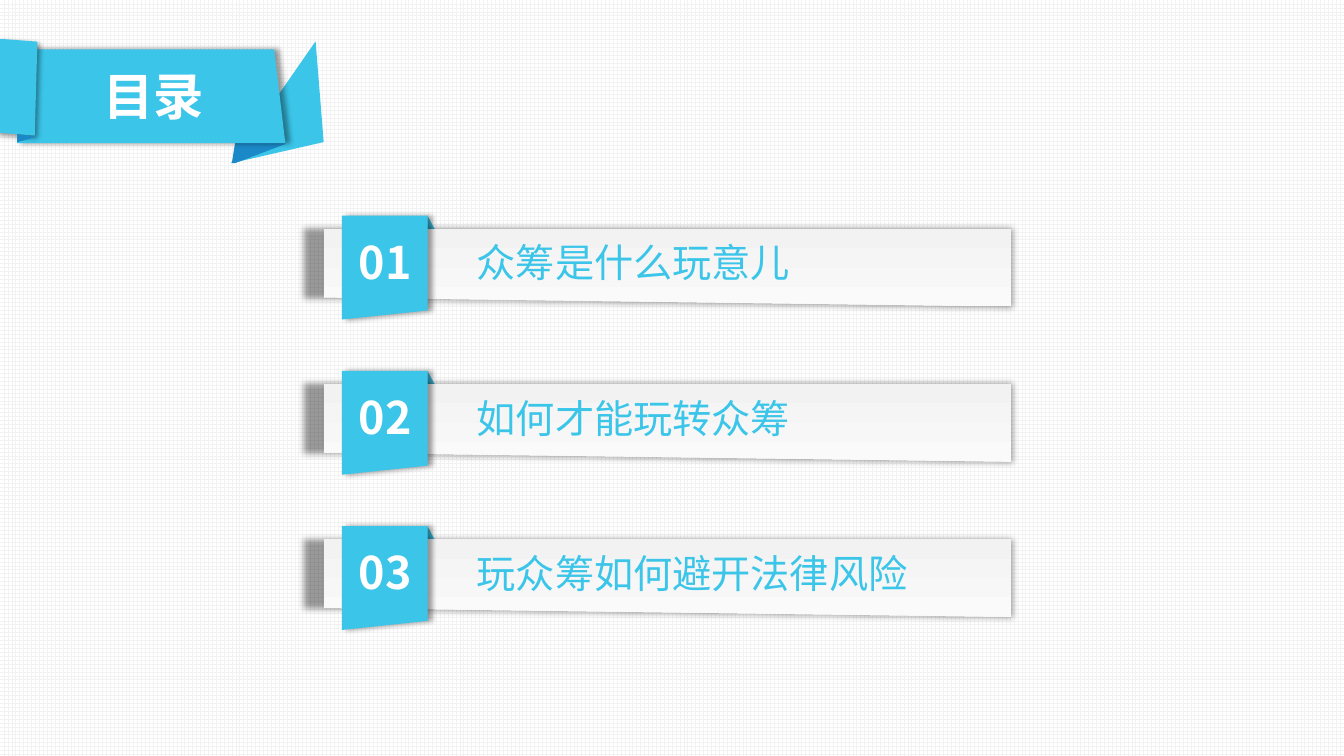
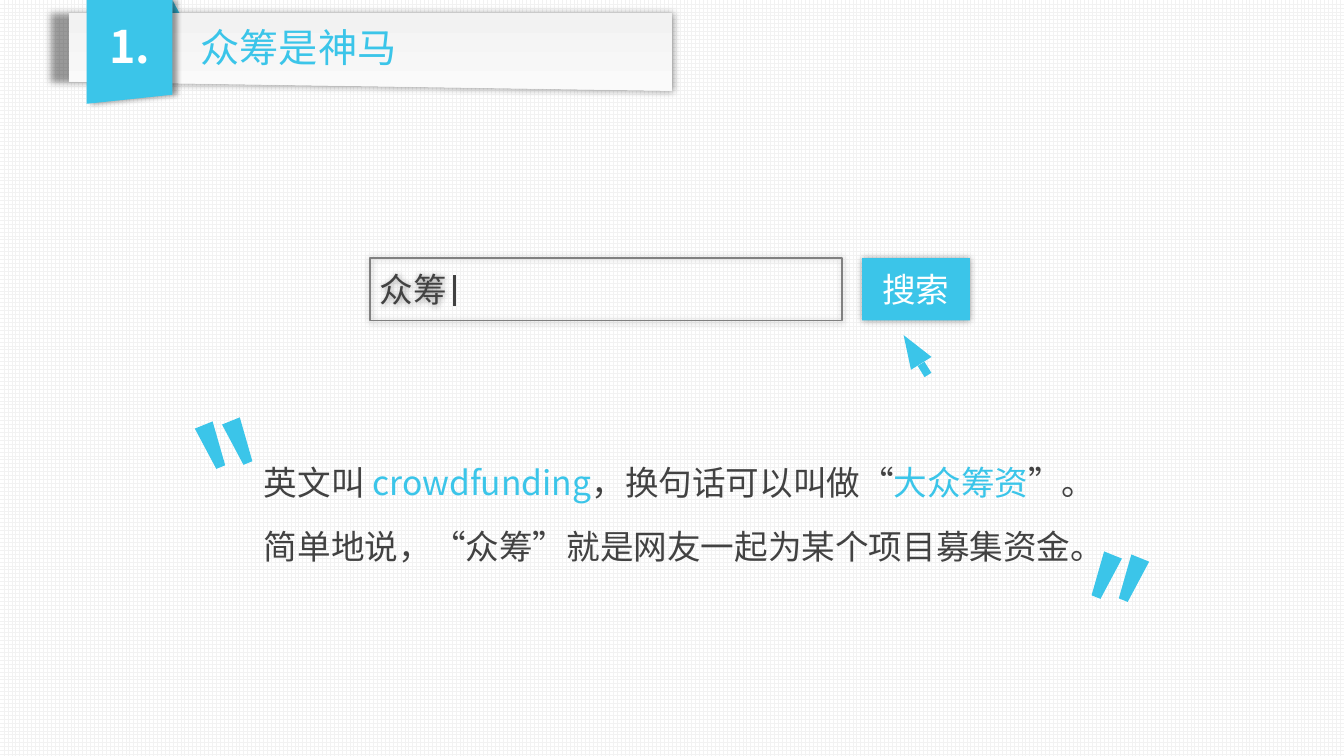
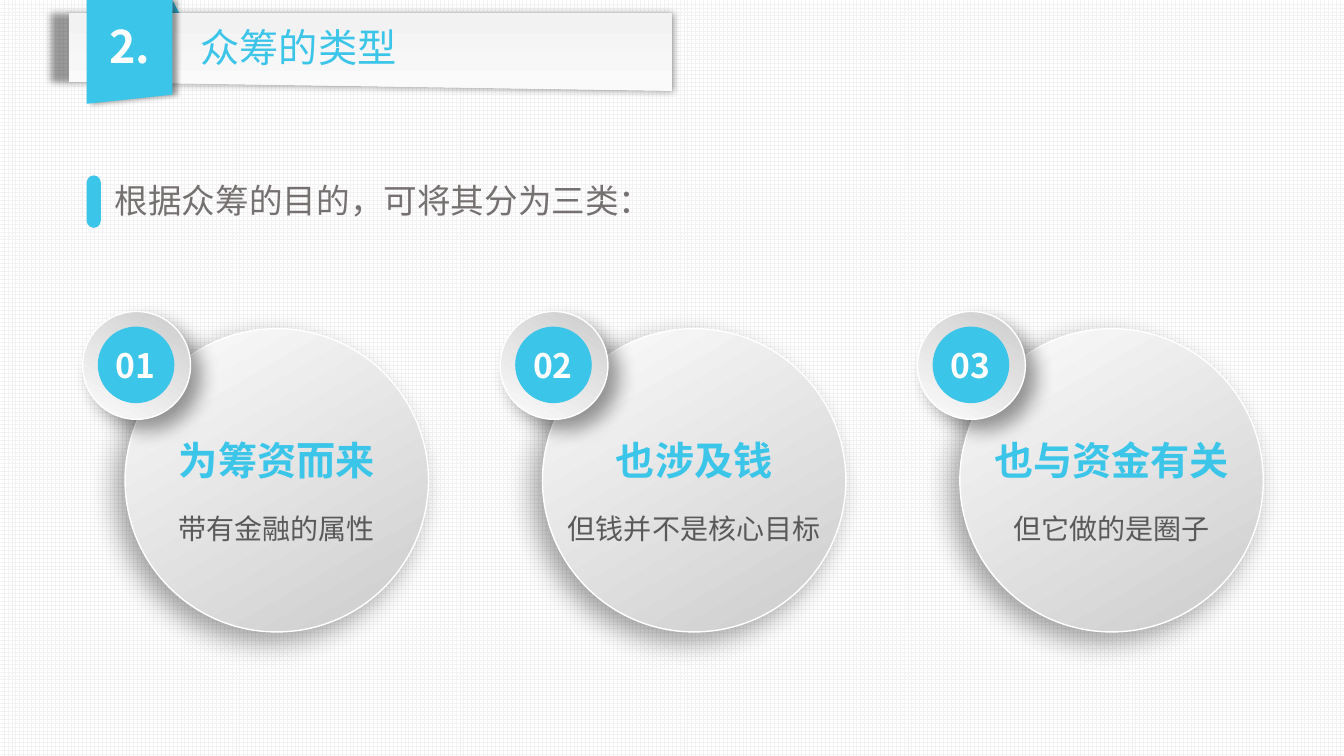
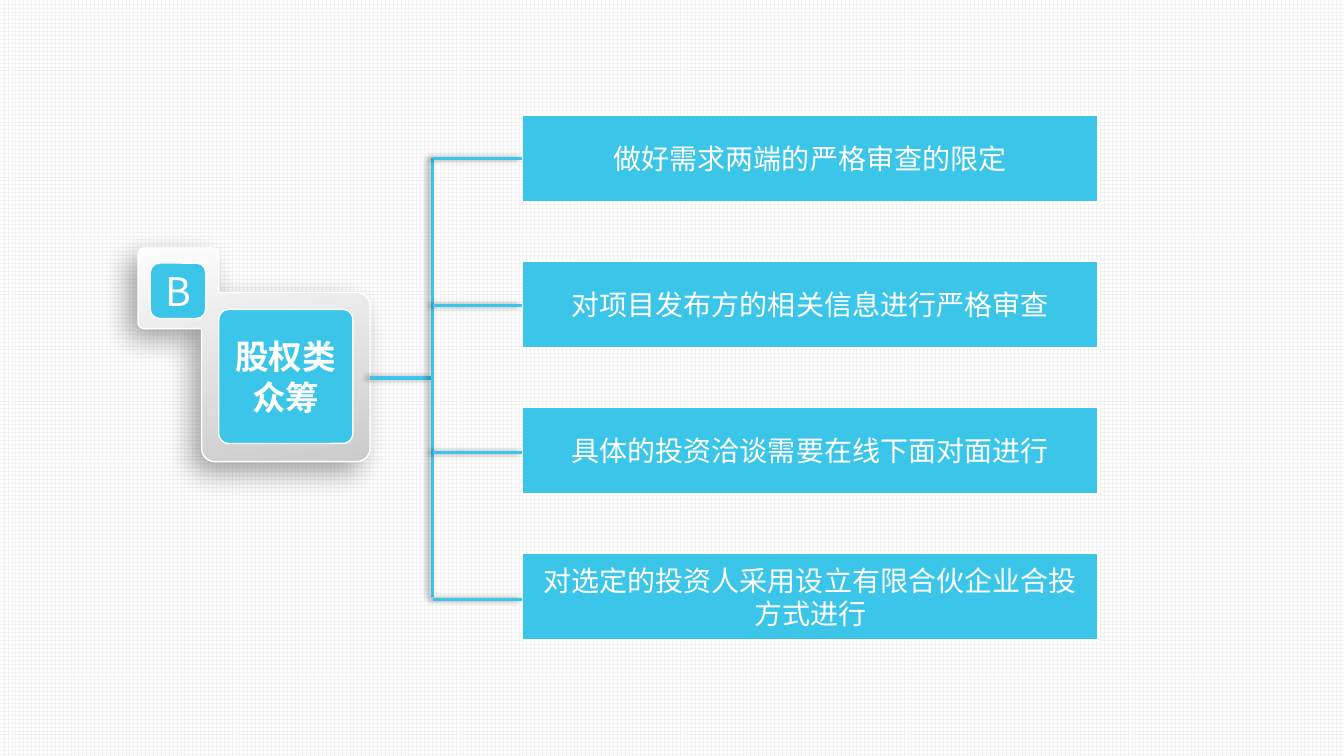
from math import cos, radians, sin

from lxml import etree
from pptx import Presentation
from pptx.dml.color import RGBColor
from pptx.enum.dml import MSO_PATTERN
from pptx.enum.shapes import MSO_CONNECTOR, MSO_SHAPE
from pptx.enum.text import MSO_ANCHOR, MSO_AUTO_SIZE, PP_ALIGN
from pptx.oxml.ns import qn
from pptx.util import Inches, Pt

# Shared look
FONT = "Noto Sans CJK SC"
BLUE = RGBColor(0x3B, 0xC5, 0xE9)
DEEP_BLUE = RGBColor(0x1B, 0x89, 0xC7)
WHITE = RGBColor(0xFF, 0xFF, 0xFF)
GRID = RGBColor(0xF2, 0xF2, 0xF2)
PAPER = RGBColor(0xFA, 0xFA, 0xFA)
SILVER = RGBColor(0xCC, 0xCC, 0xCC)
PEARL = RGBColor(0xFC, 0xFC, 0xFC)
FRAME = RGBColor(0x80, 0x80, 0x80)
INK = RGBColor(0x42, 0x42, 0x42)
NOTE_GRAY = RGBColor(0x59, 0x59, 0x59)
LEAD_GRAY = RGBColor(0x76, 0x71, 0x71)

CENTER, LEFT = PP_ALIGN.CENTER, PP_ALIGN.LEFT
MIDDLE, TOP = MSO_ANCHOR.MIDDLE, MSO_ANCHOR.TOP
FIT_SHAPE = MSO_AUTO_SIZE.SHAPE_TO_FIT_TEXT
RECT, OVAL, ROUNDED = MSO_SHAPE.RECTANGLE, MSO_SHAPE.OVAL, MSO_SHAPE.ROUNDED_RECTANGLE
FLAP, TRIANGLE = MSO_SHAPE.RIGHT_TRIANGLE, MSO_SHAPE.ISOSCELES_TRIANGLE
TRAPEZOID, PARALLELOGRAM = MSO_SHAPE.TRAPEZOID, MSO_SHAPE.PARALLELOGRAM
STRAIGHT = MSO_CONNECTOR.STRAIGHT
TITLE_ONLY, BLANK = 5, 6

# Shadows: opacity %, blur pt, distance pt, direction, width %
HALO = (40, 5, 0, 0, 100)
BAR_SHADOW = (40, 5, 0, 0, 103)
SIDE_SHADOW = (40, 4, 3, 0, 100)
FOLD_SHADOW = (40, 4, 3, 45, 100)
LINE_SHADOW = (40, 4, 3, 180, 100)
DISC_SHADOW = (34, 20, 10, 136, 100)
BADGE_SHADOW = (40, 14, 10, 45, 100)

# Content
AGENDA_TITLE = "目录"
AGENDA = ["众筹是什么玩意儿", "如何才能玩转众筹", "玩众筹如何避开法律风险"]
DEFINITION_TITLE = ("1.", "众筹是神马")
SEARCH_TERM, SEARCH_BUTTON = "众筹", "搜索"
DEFINITION = [
    [("英文叫 ", INK), ("crowdfunding", BLUE), ("，换句话可以叫做“", INK),
     ("大众筹资", BLUE), ("”。", INK)],
    [("简单地说，“众筹”就是网友一起为某个项目募集资金。", INK)],
]
TYPES_TITLE = ("2.", "众筹的类型")
TYPES_LEAD = "根据众筹的目的，可将其分为三类："
TYPES = [
    ("为筹资而来", "带有金融的属性"),
    ("也涉及钱", "但钱并不是核心目标"),
    ("也与资金有关", "但它做的是圈子"),
]
EQUITY_LETTER, EQUITY = "B", "股权类众筹"
EQUITY_RULES = [
    "做好需求两端的严格审查的限定",
    "对项目发布方的相关信息进行严格审查",
    "具体的投资洽谈需要在线下面对面进行",
    "对选定的投资人采用设立有限合伙企业合投方式进行",
]


# Drawing helpers
def add_shadow(item, shadow):
    properties = item.element.spPr
    for old in properties.findall(qn("a:effectLst")):
        properties.remove(old)
    effects = etree.SubElement(properties, qn("a:effectLst"))
    if shadow:
        opacity, blur, distance, direction, width = shadow
        outer = etree.SubElement(
            effects, qn("a:outerShdw"), blurRad=str(Pt(blur)), dist=str(Pt(distance)),
            dir=str(direction * 60000), sx=str(width * 1000),
            algn="r" if width != 100 else "ctr", rotWithShape="0")
        color = etree.SubElement(outer, qn("a:srgbClr"), val="000000")
        etree.SubElement(color, qn("a:alpha"), val=str(opacity * 1000))


def paint(shape, fill=None, line=None, shadow=None):
    """fill is a colour, or (first colour, last colour, clockwise angle)."""
    if fill is None:
        shape.fill.background()
    elif isinstance(fill, RGBColor):
        shape.fill.solid()
        shape.fill.fore_color.rgb = fill
    else:
        *colors, angle = fill
        shape.fill.gradient()
        shape.fill.gradient_angle = 360 - angle
        for stop, color, position in zip(shape.fill.gradient_stops, colors, (0, 1)):
            stop.color.rgb = color
            stop.position = position
    if line is None:
        shape.line.fill.background()
    else:
        shape.line.color.rgb = line
        shape.line.width = Pt(1)
    add_shadow(shape, shadow)
    return shape


def add_preset(slide, kind, box, fill=None, line=None, shadow=None, rotation=0, adjust=None):
    shape = slide.shapes.add_shape(kind, *map(Inches, box))
    shape.rotation = rotation
    if adjust is not None:
        shape.adjustments[0] = adjust
    return paint(shape, fill, line, shadow)


def add_outline(slide, points, fill, line=None, shadow=None):
    start, *rest = [(Inches(x), Inches(y)) for x, y in points]
    builder = slide.shapes.build_freeform(*start)
    builder.add_line_segments(rest, close=True)
    return paint(builder.convert_to_shape(), fill, line, shadow)


def add_line(slide, start, end, color, shadow=None):
    line = slide.shapes.add_connector(STRAIGHT, *map(Inches, start + end))
    line.line.color.rgb = color
    line.line.width = Pt(2.25)
    add_shadow(line, shadow)


def style(paragraph, size, color, bold=False, align=LEFT):
    paragraph.alignment = align
    font = paragraph.font
    font.size, font.bold = Pt(size), bold
    font.color.rgb = color
    font.name = FONT
    defaults = paragraph._p.pPr.find(qn("a:defRPr"))
    etree.SubElement(defaults, qn("a:ea"), typeface=FONT)


def write(shape, text, size, color, bold=False, align=CENTER, anchor=MIDDLE):
    frame = shape.text_frame
    frame.word_wrap, frame.vertical_anchor = True, anchor
    frame.text = text
    style(frame.paragraphs[0], size, color, bold, align)


def add_text(slide, box, text, size, color, bold=False, align=LEFT):
    label = slide.shapes.add_textbox(*map(Inches, box))
    write(label, text, size, color, bold, align, TOP)
    label.text_frame.auto_size = FIT_SHAPE


def set_title(slide, box, text, size, color, bold=False, align=LEFT):
    title = slide.shapes.title
    title.left, title.top, title.width, title.height = map(Inches, box)
    write(title, text, size, color, bold, align, TOP)
    title.text_frame.auto_size = FIT_SHAPE
    # Bring the title in front of its band
    title.element.getparent().append(title.element)


def add_band(slide, left, top, right, number):
    """Paper bar with a numbered blue tab whose corner is at left, top."""
    tab_right, bar_left, bar_top = left + 0.85, left - 0.18, top + 0.13
    add_preset(slide, FLAP, (tab_right, top, 0.07, 0.13), BLUE)
    add_outline(slide, [(right, bar_top), (bar_left, bar_top), (bar_left, top + 0.81),
                        (right, top + 0.9)], (GRID, PAPER, 90), shadow=BAR_SHADOW)
    add_outline(slide, [(tab_right, top), (tab_right, top + 0.94), (left, top + 1.03),
                        (left, top)], BLUE, shadow=SIDE_SHADOW)
    add_text(slide, (left + 0.02, top + 0.14, 0.82, 0.64), number, 32, WHITE, True, CENTER)


def add_section_slide(prs, number, title):
    slide = prs.slides.add_slide(prs.slide_layouts[TITLE_ONLY])
    add_band(slide, 0.86, 0, 6.67, number)
    set_title(slide, (1.89, 0.18, 4.62, 0.57), title, 28, BLUE)
    return slide


# Slides
def build_agenda(prs):
    slide = prs.slides.add_slide(prs.slide_layouts[TITLE_ONLY])
    # Folded ribbon
    add_outline(slide, [(3.13, 0.41), (3.21, 1.41), (2.29, 1.62)], BLUE)
    add_outline(slide, [(2.45, 0.66), (2.6, 0.82), (2.62, 0.87), (2.83, 1.43),
                        (2.33, 1.62), (2.3, 1.62)], DEEP_BLUE)
    add_outline(slide, [(0.17, 0.49), (2.72, 0.49), (2.83, 1.42), (0.17, 1.42)],
                BLUE, shadow=SIDE_SHADOW)
    ribbon_end = add_preset(slide, PARALLELOGRAM, (-0.05, 0.4, 0.43, 0.93), BLUE,
                            shadow=FOLD_SHADOW, rotation=4.3, adjust=0.1)
    ribbon_end.element.spPr.xfrm.set("flipV", "1")
    add_outline(slide, [(0.17, 1.33), (0.36, 1.36), (0.17, 1.41)], DEEP_BLUE)
    set_title(slide, (0.47, 0.6, 2.11, 0.71), AGENDA_TITLE, 36, WHITE, True, CENTER)
    # Chapters
    for i, chapter in enumerate(AGENDA):
        top = 2.14 + i * 1.54
        add_band(slide, 3.39, top, 10.03, f"{i + 1:02d}")
        add_text(slide, (4.63, top + 0.18, 5.22, 0.57), chapter, 28, BLUE)


def build_definition(prs):
    slide = add_section_slide(prs, *DEFINITION_TITLE)
    # Search bar, text cursor and pointer
    field = add_preset(slide, RECT, (3.67, 2.56, 4.68, 0.62), line=FRAME, shadow=HALO)
    write(field, SEARCH_TERM, 24, INK, align=LEFT)
    button = add_preset(slide, RECT, (8.55, 2.56, 1.07, 0.62), BLUE, shadow=HALO)
    write(button, SEARCH_BUTTON, 24, WHITE)
    add_line(slide, (4.51, 2.73), (4.51, 3.04), INK)
    add_preset(slide, TRIANGLE, (8.93, 3.3, 0.24, 0.33), BLUE, rotation=328)
    add_preset(slide, RECT, (9.13, 3.6, 0.08, 0.13), BLUE, rotation=328)
    # Quotation marks
    for left, top, rotation in [(2.28, 4.16, 158), (2.01, 4.2, 158),
                                (11.13, 5.52, 202), (10.86, 5.49, 202)]:
        add_preset(slide, TRAPEZOID, (left, top, 0.19, 0.45), BLUE, rotation=rotation)
    # Definition
    quote = slide.shapes.add_textbox(*map(Inches, (2.52, 4.53, 8.26, 1.11))).text_frame
    quote.word_wrap = True
    for i, parts in enumerate(DEFINITION):
        paragraph = quote.add_paragraph() if i else quote.paragraphs[0]
        if i:
            paragraph.space_before = Pt(17)
        style(paragraph, 24, INK)
        for text, color in parts:
            run = paragraph.add_run()
            run.text = text
            if color != INK:
                run.font.color.rgb = color


def build_types(prs):
    slide = add_section_slide(prs, *TYPES_TITLE)
    # Lead sentence
    add_text(slide, (1.04, 1.74, 5.5, 0.5), TYPES_LEAD, 24, LEAD_GRAY)
    add_preset(slide, ROUNDED, (0.86, 1.74, 0.14, 0.52), BLUE, adjust=0.5)
    # Discs with numbered badges
    for i, (heading, note) in enumerate(TYPES):
        left = 1.24 + i * 4.14
        add_preset(slide, OVAL, (left, 3.26, 3.01, 3.01), (SILVER, PEARL, 240),
                   WHITE, DISC_SHADOW)
        caption = slide.shapes.add_textbox(*map(Inches, (left, 4.33, 3.01, 1.21)))
        write(caption, heading, 28, BLUE, True, CENTER, TOP)
        caption.text_frame.margin_top = caption.text_frame.margin_bottom = 0
        note_line = caption.text_frame.add_paragraph()
        note_line.text = note
        note_line.space_before = Pt(20)
        style(note_line, 20, NOTE_GRAY, align=CENTER)
        add_preset(slide, OVAL, (left - 0.42, 3.09, 1.07, 1.07), (SILVER, PEARL, 120),
                   WHITE, BADGE_SHADOW)
        add_preset(slide, OVAL, (left - 0.27, 3.24, 0.76, 0.76), BLUE)
        add_text(slide, (left - 0.22, 3.37, 0.65, 0.5), f"{i + 1:02d}", 24, WHITE, True, CENTER)


def build_equity(prs):
    slide = prs.slides.add_slide(prs.slide_layouts[BLANK])
    # Double plate: corner centre, radius, start angle; radius 0 is a sharp corner
    corners = [(1.43, 2.52, 0.06, 180), (2.11, 2.52, 0.06, 270), (2.17, 2.9, 0, 0),
               (3.54, 3.03, 0.13, 270), (3.54, 4.45, 0.13, 0), (2.13, 4.45, 0.13, 90),
               (2, 3.26, 0, 0), (1.43, 3.2, 0.06, 90)]
    plate = [(x + r * cos(radians(start + turn)), y + r * sin(radians(start + turn)))
             for x, y, r, start in corners
             for turn in (range(0, 91, 15) if r else [0])]
    add_outline(slide, plate, (SILVER, PEARL, 260), WHITE, DISC_SHADOW)
    topic = add_preset(slide, ROUNDED, (2.17, 3.07, 1.33, 1.33), BLUE, WHITE, adjust=0.075)
    write(topic, EQUITY, 24, WHITE, True)
    letter = add_preset(slide, ROUNDED, (1.49, 2.61, 0.55, 0.55), BLUE, WHITE)
    write(letter, EQUITY_LETTER, 28, WHITE)
    # Trunk, branches and rules
    trunk, card_left = 4.29, 5.18
    add_line(slide, (3.67, 3.75), (trunk, 3.75), BLUE, LINE_SHADOW)
    add_line(slide, (trunk, 1.57), (trunk, 5.92), BLUE, LINE_SHADOW)
    for i, rule in enumerate(EQUITY_RULES):
        card = add_preset(slide, RECT, (card_left, 1.14 + i * 1.45, 5.71, 0.86), BLUE, WHITE)
        write(card, rule, 20, WHITE)
        branch = 1.57 + i * 1.46
        add_line(slide, (trunk, branch), (card_left, branch), BLUE, LINE_SHADOW)


def main():
    prs = Presentation()
    prs.slide_width, prs.slide_height = Inches(13.33), Inches(7.5)
    backdrop = prs.slide_master.background.fill
    backdrop.patterned()
    backdrop.pattern = MSO_PATTERN.LARGE_GRID
    backdrop.fore_color.rgb, backdrop.back_color.rgb = GRID, WHITE
    for build in (build_agenda, build_definition, build_types, build_equity):
        build(prs)
    prs.save("out.pptx")


if __name__ == "__main__":
    main()
